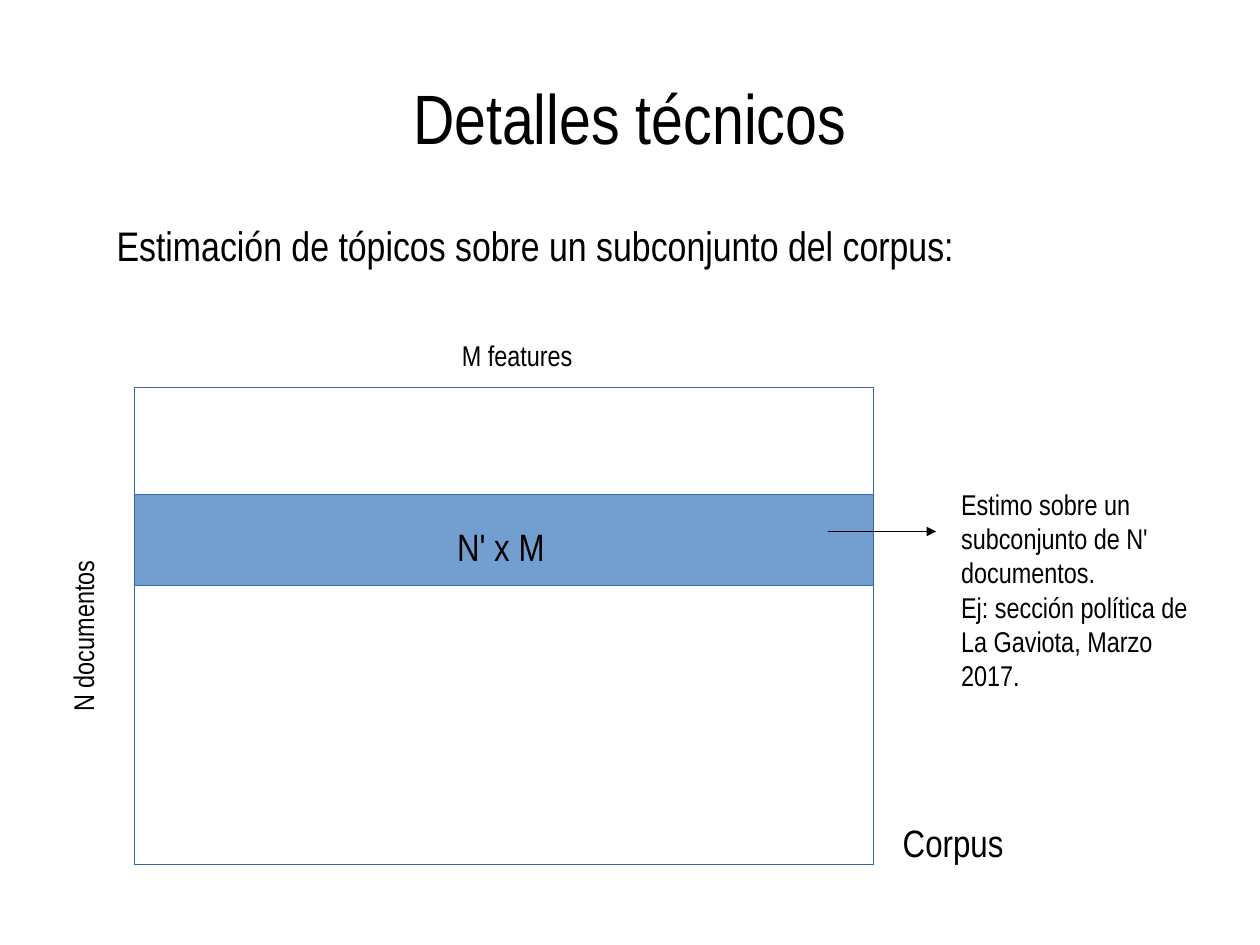
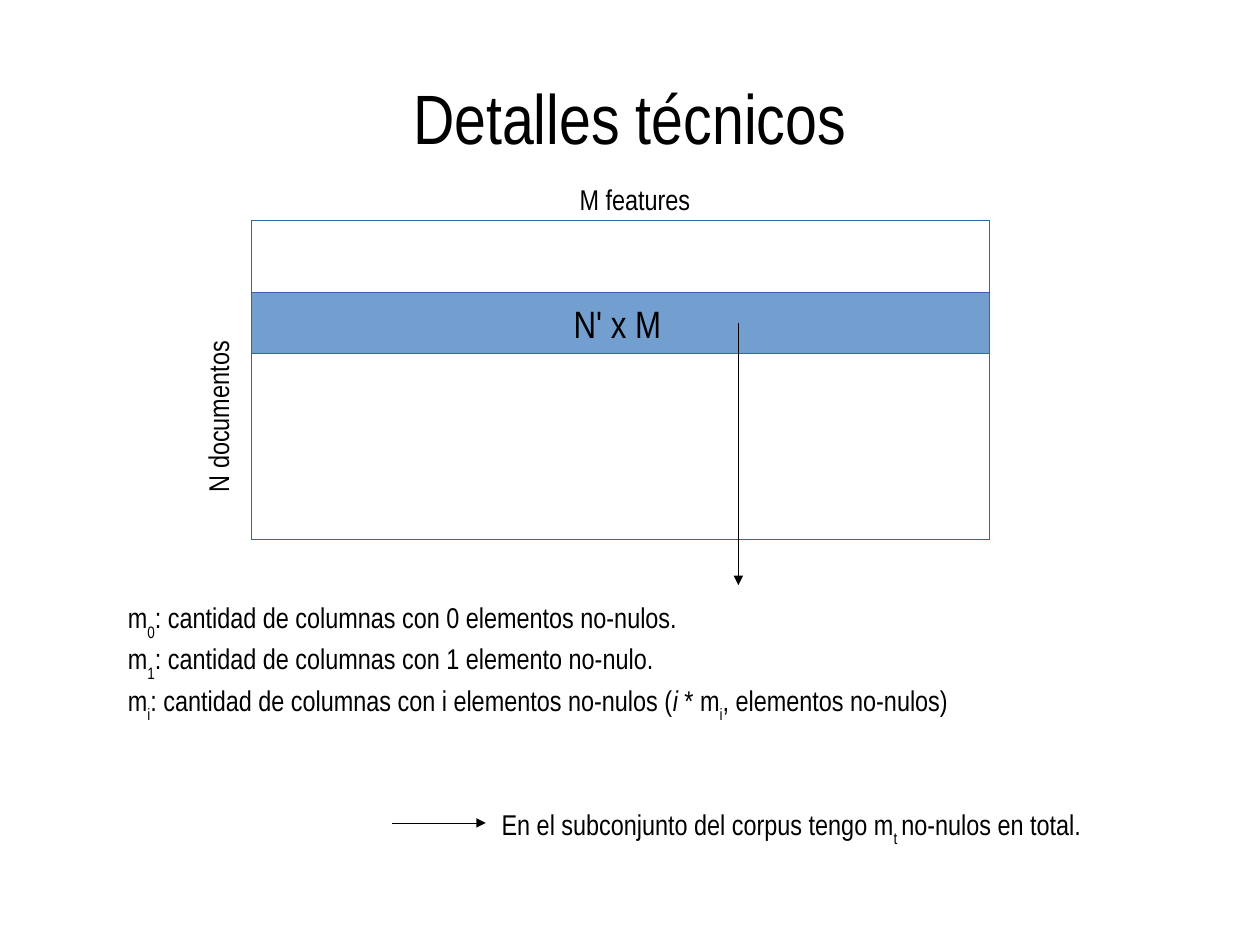
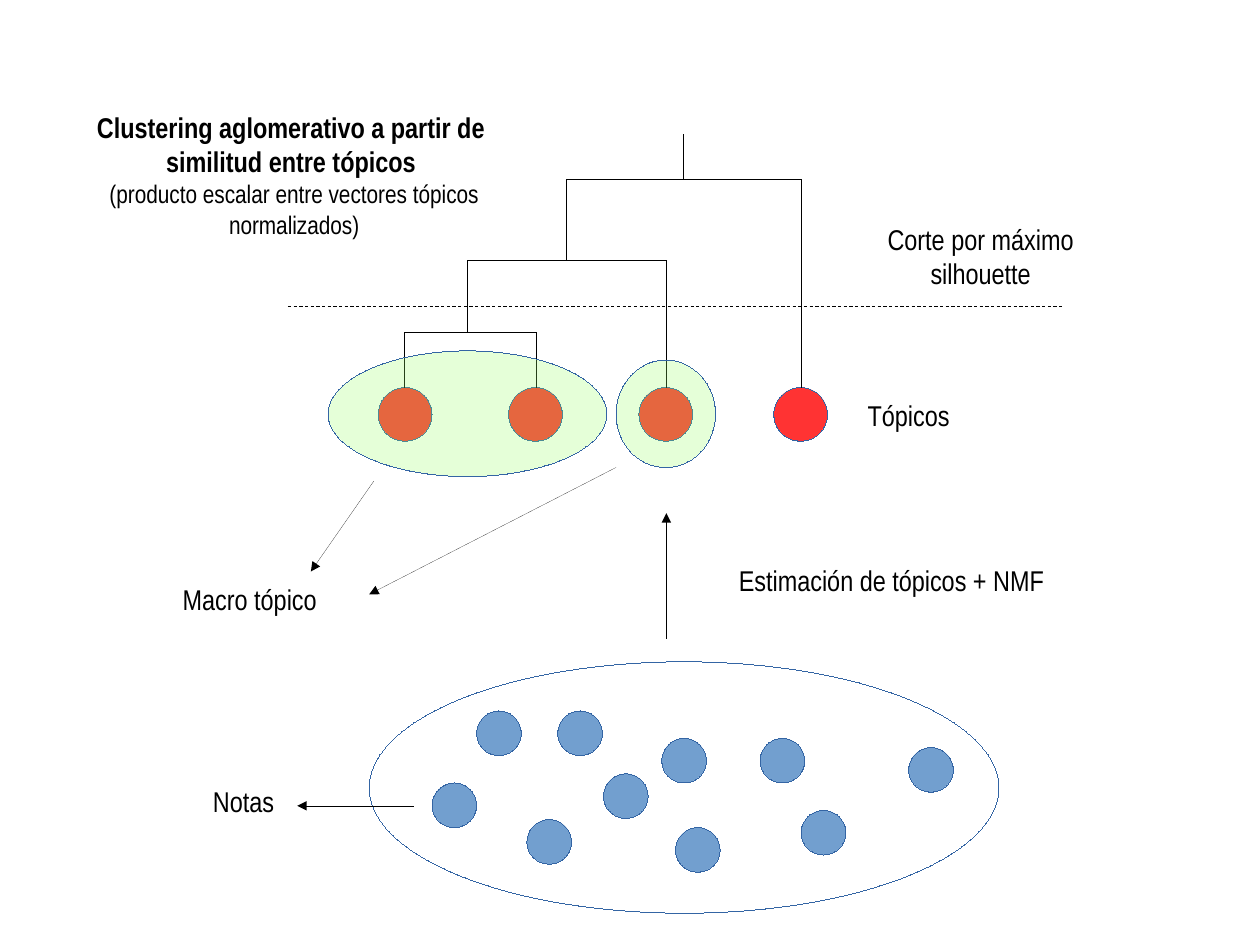
"""Builds three slides on topic estimation over a corpus and the clustering of topics."""
from lxml import etree
from pptx import Presentation, util as u
from pptx.dml.color import RGBColor
from pptx.enum import dml, shapes, text
from pptx.oxml.ns import qn

FONT = "Arial Narrow"
BLACK = RGBColor(0x00, 0x00, 0x00)
WHITE = RGBColor(0xFF, 0xFF, 0xFF)
OUTLINE = RGBColor(0x34, 0x65, 0xA4)
BLUE = RGBColor(0x72, 0x9F, 0xCF)
RED = RGBColor(0xFF, 0x33, 0x33)
GREEN = RGBColor(0x99, 0xFF, 0x66)
RECTANGLE = shapes.MSO_SHAPE.RECTANGLE
OVAL = shapes.MSO_SHAPE.OVAL
LEFT = text.PP_ALIGN.LEFT
CENTER = text.PP_ALIGN.CENTER


def draw_shape(page, kind, at, fill=None, alpha=None):
    shape = page.shapes.add_shape(kind, *map(u.Inches, at))
    shape.shadow.inherit = False
    shape.line.color.rgb = OUTLINE
    shape.line._get_or_add_ln().set("w", "0")
    if fill is None:
        shape.fill.background()
    else:
        shape.fill.solid()
        shape.fill.fore_color.rgb = fill
    if alpha is not None:
        color = shape._element.spPr.find(qn("a:solidFill"))[0]
        etree.SubElement(color, qn("a:alpha")).set("val", str(alpha * 1000))


def draw_line(page, start, end, arrow=False):
    line = page.shapes.add_connector(
        shapes.MSO_CONNECTOR.STRAIGHT, *map(u.Inches, (*start, *end)))
    line.line.color.rgb = BLACK
    outline = line.line._get_or_add_ln()
    outline.set("w", "0")
    if arrow:
        etree.SubElement(outline, qn("a:tailEnd")).set("type", "triangle")
    etree.SubElement(line._element.spPr, qn("a:effectLst"))
    return line


deck = Presentation()
deck.slide_width, deck.slide_height = u.Cm(28), u.Cm(21)
subset, columns, clusters = [deck.slides.add_slide(deck.slide_layouts[6]) for _ in range(3)]

for page, left, top, height, band_top, band_height in [
    (subset, 1.18, 3.39, 4.17, 4.33, 0.79),
    (columns, 2.2, 1.93, 2.79, 2.56, 0.53),
]:
    draw_shape(page, RECTANGLE, (left, top, 6.46, height), WHITE)
    draw_shape(page, RECTANGLE, (left, band_top, 6.46, band_height), BLUE)

for left, top in [
    (5.91, 7.24), (4.17, 6.22), (3.78, 6.85), (4.61, 7.17), (5.28, 6.77),
    (7.95, 6.54), (4.88, 6.22), (5.79, 6.46), (6.65, 6.46), (7.01, 7.09),
]:
    draw_shape(clusters, OVAL, (left, top, 0.39, 0.39), BLUE)
draw_shape(clusters, OVAL, (3.23, 5.79, 5.51, 2.2))
for left in (3.31, 4.45, 5.59, 6.77):
    draw_shape(clusters, OVAL, (left, 3.39, 0.47, 0.47), RED)

for left, left_foot, right, top in [
    (3.54, 3.39, 4.69, 2.91), (4.09, 2.91, 5.83, 2.28), (4.96, 2.28, 7.01, 1.57),
]:
    draw_line(clusters, (left, left_foot), (left, top))
    draw_line(clusters, (right, 3.39), (right, top))
    draw_line(clusters, (left, top), (right, top))
draw_line(clusters, (5.98, 1.57), (5.98, 1.18))
cut = draw_line(clusters, (2.52, 2.68), (9.29, 2.68))
cut.line.width = u.Pt(0.5)
cut.line.dash_style = dml.MSO_LINE.DASH

for macro_topic in [(2.87, 3.07, 2.44, 1.1), (5.39, 3.15, 0.87, 0.94)]:
    draw_shape(clusters, OVAL, macro_topic, GREEN, alpha=25)

for page, start, end in [
    (subset, (7.24, 4.65), (8.19, 4.65)),
    (columns, (3.43, 7.2), (4.25, 7.2)),
    (columns, (6.46, 2.83), (6.46, 5.12)),
    (clusters, (5.83, 5.59), (5.83, 4.49)),
    (clusters, (3.27, 4.21), (2.72, 5)),
    (clusters, (3.62, 7.05), (2.6, 7.05)),
    (clusters, (5.39, 4.09), (3.23, 5.2)),
]:
    draw_line(page, start, end, arrow=True)

title = ((0.55, 0.33, 9.92, 1.38), 44, CENTER, ["Detalles técnicos"])
labels = [
    (subset, *title),
    (subset, (1.02, 1.93, 9.45, 0.5), 26, LEFT,
     ["Estimación de tópicos sobre un subconjunto del corpus:"]),
    (subset, (2.87, 2.91, 3.31, 0.39), 18, CENTER, ["M features"]),
    (subset, (-0.24, 5.17, 1.92, 0.39), 18, LEFT, ["N documentos"]),
    (subset, (8.31, 4.21, 2.32, 1.86), 18, LEFT,
     ["Estimo sobre un subconjunto de N' documentos.",
      "Ej: sección política de La Gaviota, Marzo 2017."]),
    (subset, (7.8, 7.12, 2.83, 0.49), 24, LEFT, ["Corpus"]),
    (subset, (3.9, 4.53, 1.22, 0.49), 24, LEFT, ["N' x M"]),
    (columns, *title),
    (columns, (3.9, 1.54, 3.31, 0.39), 18, CENTER, ["M features"]),
    (columns, (0.68, 2.99, 2.44, 0.39), 18, LEFT, ["N documentos"]),
    (columns, (4.92, 2.58, 1.22, 0.49), 24, LEFT, ["N' x M"]),
    (columns, (1.02, 5.2, 9.84, 1.15), 18, LEFT,
     ["m|_0|: cantidad de columnas con 0 elementos no-nulos.",
      "m|_1|: cantidad de columnas con 1 elemento no-nulo.",
      "m|_i|: cantidad de columnas con i elementos no-nulos (|/i| * m|_i|, elementos no-nulos)"]),
    (columns, (4.29, 7.01, 6.69, 0.45), 18, LEFT,
     ["En el subconjunto del corpus tengo m|_t |no-nulos en total."]),
    (clusters, (1.5, 5.04, 1.65, 0.39), 18, LEFT, ["Macro tópico"]),
    (clusters, (7.2, 1.89, 2.76, 0.69), 18, CENTER, ["Corte por máximo silhouette"]),
    (clusters, (1.54, 6.81, 1.18, 0.39), 18, CENTER, ["Notas"]),
    (clusters, (5.83, 4.88, 3.94, 0.39), 18, CENTER, ["Estimación de tópicos + NMF"]),
    (clusters, (7.28, 3.43, 1.34, 0.39), 18, CENTER, ["Tópicos"]),
    (clusters, (0.31, 0.91, 4.53, 1.21), 18, CENTER,
     ["Clustering aglomerativo a partir de |^similitud entre tópicos ",
      "(producto escalar entre vectores tópicos normalizados)"]),
]
for page, at, size, align, lines in labels:
    box = page.shapes.add_textbox(*map(u.Inches, at))
    frame = box.text_frame
    frame.word_wrap = True
    if size > 24:
        frame.margin_left = frame.margin_right = frame.margin_top = frame.margin_bottom = 0
    if size == 44:
        frame.vertical_anchor = text.MSO_ANCHOR.MIDDLE
    if lines == ["N documentos"]:
        box.rotation = 270
    for index, line in enumerate(lines):
        para = frame.add_paragraph() if index else frame.paragraphs[0]
        para.alignment = align
        para.font.name, para.font.size = FONT, u.Pt(size)
        para.font.color.rgb = BLACK
        if line.startswith("Clustering"):
            para.font.bold = True
        elif line.startswith("(producto"):
            para.font.size = u.Pt(16)
        for piece in line.split("|"):
            if piece.startswith("^"):
                para.add_line_break()
            span = para.add_run()
            span.text = piece.lstrip("_/^")
            if piece.startswith("_"):
                span._r.get_or_add_rPr().set("baseline", "-33000")
            elif piece.startswith("/"):
                span.font.italic = True

deck.save("out.pptx")
